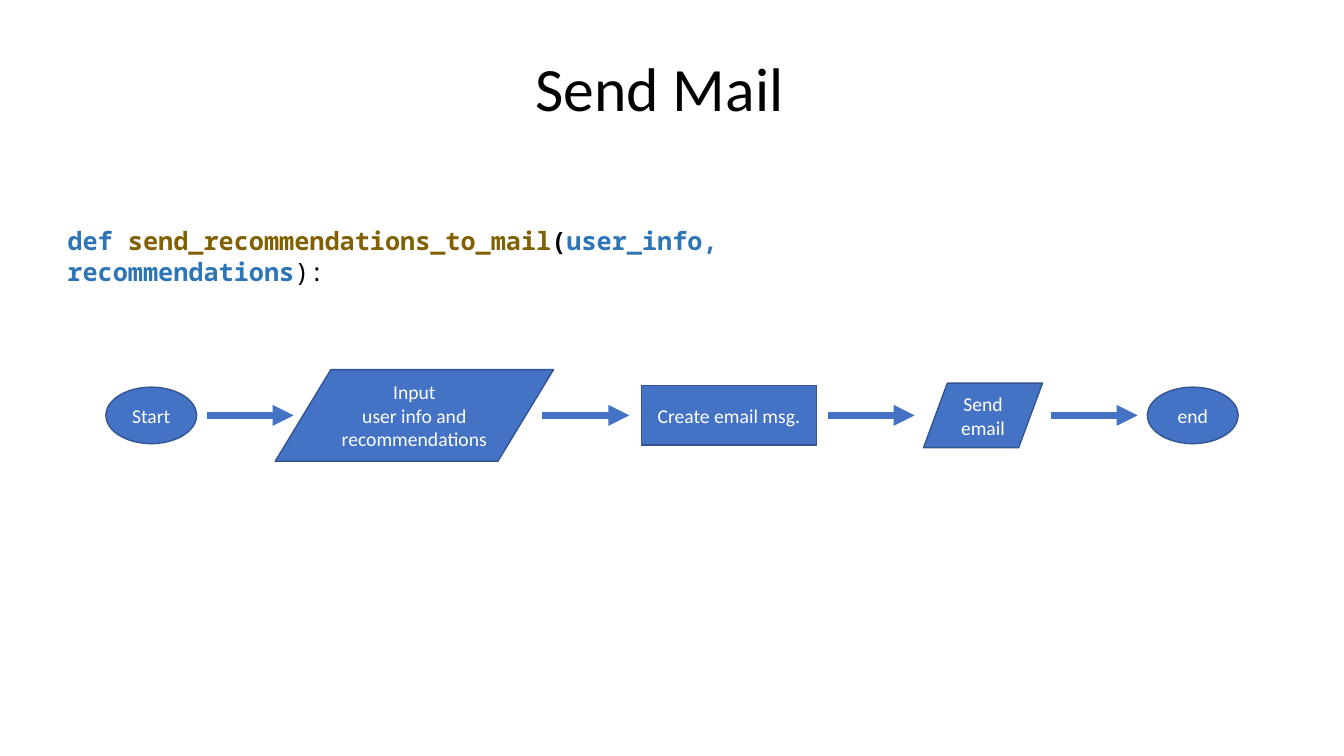
import dataclasses

import lxml.etree
import pptx
import pptx.dml.color
import pptx.enum.shapes
import pptx.enum.text
import pptx.oxml.ns
import pptx.util

KIND = pptx.enum.shapes.MSO_SHAPE
ALIGN = pptx.enum.text.PP_ALIGN
ANCHOR = pptx.enum.text.MSO_ANCHOR


@dataclasses.dataclass(frozen=True)
class Theme:
    wide: float = 13.33
    high: float = 7.5
    sans: str = "Calibri"
    mono: str = "Noto Sans Mono"
    ink: str = "000000"
    white: str = "FFFFFF"
    fill: str = "4472C4"
    edge: str = "325491"
    word: str = "2E75B6"
    call: str = "806000"
    head: int = 44
    code: int = 18
    label: int = 14
    thin: int = 1
    thick: int = 5


THEME = Theme()
MID = 54.95  # height of the flow's axis, in percent of the slide
STEP = 6.47  # length of each arrow, in percent of the width


def across(share):
    return pptx.util.Inches(THEME.wide * share / 100)


def down(share):
    return pptx.util.Inches(THEME.high * share / 100)


def place(left, top, width, height):
    """Turn percent shares of the slide into lengths."""
    return across(left), down(top), across(width), down(height)


def rgb(code):
    return pptx.dml.color.RGBColor.from_string(code)


def write(frame, lines, font=THEME.sans, size=THEME.label, color=THEME.white,
          align=ALIGN.LEFT, anchor=ANCHOR.TOP):
    """Fill a frame; each line is a list of (text, color, bold) runs or a string."""
    frame.word_wrap = True
    frame.auto_size = pptx.enum.text.MSO_AUTO_SIZE.NONE
    frame.vertical_anchor = anchor
    for index, line in enumerate(lines):
        para = frame.add_paragraph() if index else frame.paragraphs[0]
        para.alignment = align
        runs = [(line, color, False)] if isinstance(line, str) else line
        for text, tint, bold in runs:
            run = para.add_run()
            run.text = text
            run.font.name = font
            run.font.size = pptx.util.Pt(size)
            run.font.bold = bold
            run.font.color.rgb = rgb(tint)


def title(slide, text):
    shape = slide.shapes.title
    shape.left, shape.top, shape.width, shape.height = place(39.08, 6, 21.83, 11.2)
    write(shape.text_frame, [text], size=THEME.head, color=THEME.ink)


def code(slide, runs):
    box = slide.shapes.add_textbox(*place(4.28, 29.2, 65.42, 5.33))
    write(box.text_frame, [runs], font=THEME.mono, size=THEME.code)


def node(slide, kind, left, width, height, lines):
    """Draw one flow step, centred on the axis."""
    shape = slide.shapes.add_shape(
        kind, *place(left, MID - height / 2, width, height))
    shape.shadow.inherit = False
    shape.fill.solid()
    shape.fill.fore_color.rgb = rgb(THEME.fill)
    shape.line.color.rgb = rgb(THEME.edge)
    shape.line.width = pptx.util.Pt(THEME.thin)
    write(shape.text_frame, lines, align=ALIGN.CENTER, anchor=ANCHOR.MIDDLE)


def arrow(slide, left):
    line = slide.shapes.add_connector(
        pptx.enum.shapes.MSO_CONNECTOR.STRAIGHT,
        across(left), down(MID), across(left + STEP), down(MID))
    line.line.color.rgb = rgb(THEME.fill)
    line.line.width = pptx.util.Pt(THEME.thick)
    qn = pptx.oxml.ns.qn
    props = line.line._get_or_add_ln()
    lxml.etree.SubElement(props, qn("a:tailEnd")).set("type", "triangle")
    lxml.etree.SubElement(props.getparent(), qn("a:effectLst"))


def main():
    deck = pptx.Presentation()
    deck.slide_width, deck.slide_height = across(100), down(100)
    slide = deck.slides.add_slide(deck.slide_layouts.get_by_name("Title Only"))

    title(slide, "Send Mail")
    code(slide, [
        ("def ", THEME.word, True),
        ("send_recommendations_to_mail", THEME.call, True),
        ("(", THEME.ink, True),
        ("user_info, recommendations", THEME.word, True),
        ("):", THEME.ink, False),
    ])
    for left in (15.38, 40.36, 61.59, 78.17):
        arrow(slide, left)
    for step in (
        (KIND.OVAL, 7.88, 6.75, 7.47, ["Start"]),
        (KIND.FLOWCHART_DATA, 20.48, 20.71, 12.13,
         ["Input", "user info and recommendations"]),
        (KIND.RECTANGLE, 47.71, 13.05, 7.87, ["Create email msg."]),
        (KIND.FLOWCHART_DATA, 68.72, 8.85, 8.53, ["Send email"]),
        (KIND.OVAL, 85.37, 6.75, 7.47, ["end"]),
    ):
        node(slide, *step)
    deck.save("out.pptx")


if __name__ == "__main__":
    main()
